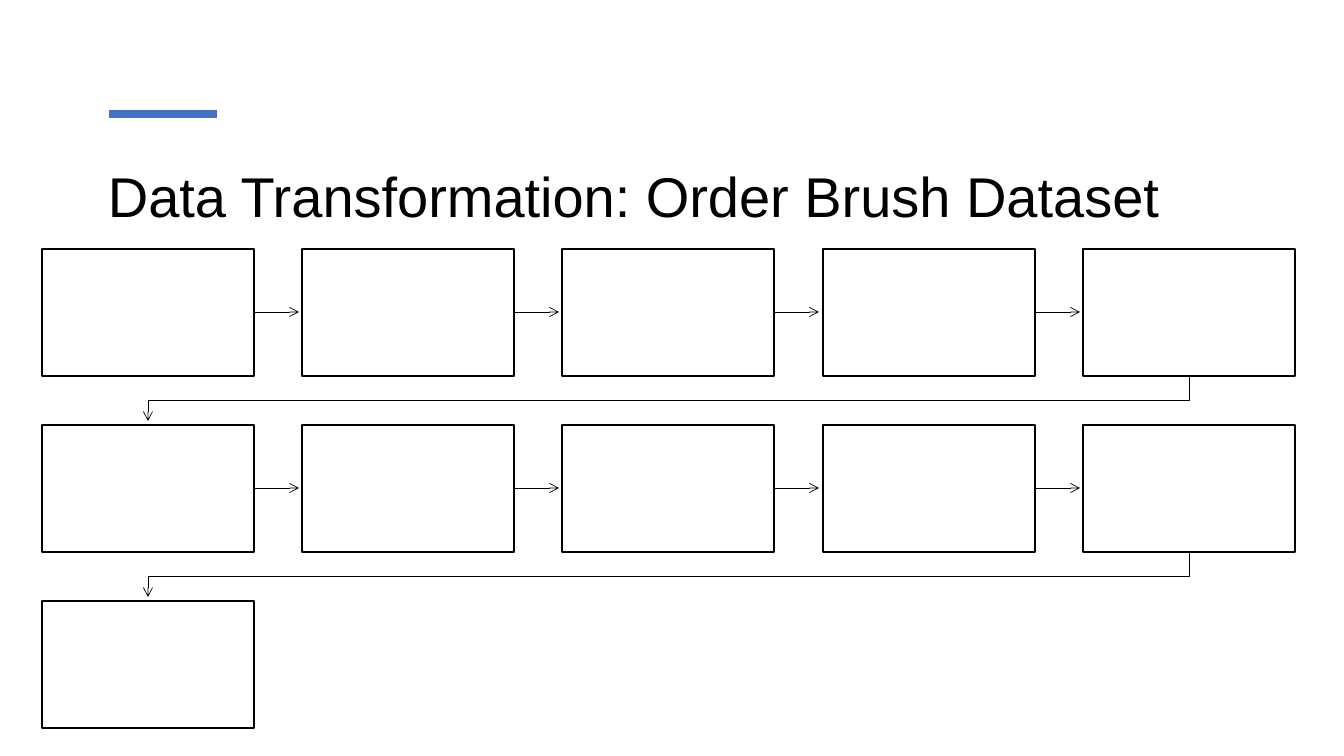
"""Build the Order Brush data transformation slide with its eleven-step flow."""
from lxml import etree
from pptx import Presentation
from pptx import util as u
from pptx.dml.color import RGBColor
from pptx.enum import shapes, text
from pptx.oxml import ns

PX = 12192000 / 1344
BOX_WIDTH, BOX_HEIGHT = 212, 127
FLOW_LEFT, FLOW_TOP = 42, 249
COLUMN_SPAN, ROW_PITCH = 1041, 176
COLUMNS, STEPS = 5, 11
ARROW_LENGTH = 45


def px(*lengths):
    return [u.Emu(round(length * PX)) for length in lengths]


def style_line(shape, color, width, arrow=False):
    shape.line.color.rgb = RGBColor.from_string(color)
    shape.line.width = u.Pt(width)
    properties = shape._element.spPr
    if arrow:
        etree.SubElement(properties.find(ns.qn("a:ln")), ns.qn("a:tailEnd"), type="arrow")
    etree.SubElement(properties, ns.qn("a:effectLst"))


presentation = Presentation()
presentation.slide_width, presentation.slide_height = px(1344, 756)
slide = presentation.slides.add_slide(presentation.slide_layouts[5])

accent = slide.shapes.add_connector(shapes.MSO_CONNECTOR.STRAIGHT, *px(109, 114, 217, 114))
style_line(accent, "4472C4", 6)

title = slide.shapes.title
title.left, title.top, title.width, title.height = px(101, 151, 1142, 145)
frame = title.text_frame
frame.text = "Data Transformation: Order Brush Dataset"
frame.word_wrap = True
frame.auto_size = text.MSO_AUTO_SIZE.NONE
frame.vertical_anchor = text.MSO_ANCHOR.TOP
frame.margin_left, frame.margin_top = px(7, 11)
paragraph = frame.paragraphs[0]
paragraph.alignment = text.PP_ALIGN.LEFT
paragraph.font.name = "Arial"
paragraph.font.size = u.Pt(40)
paragraph.font.color.rgb = RGBColor.from_string("000000")

for step in range(STEPS):
    row, column = divmod(step, COLUMNS)
    left = FLOW_LEFT + round(column * COLUMN_SPAN / (COLUMNS - 1))
    top = FLOW_TOP + row * ROW_PITCH
    right, bottom = left + BOX_WIDTH, top + BOX_HEIGHT
    middle = top + BOX_HEIGHT // 2

    if column < COLUMNS - 1 and step < STEPS - 1:
        arrow = slide.shapes.add_connector(
            shapes.MSO_CONNECTOR.STRAIGHT, *px(right, middle, right + ARROW_LENGTH, middle))
        style_line(arrow, "000000", 0.5, arrow=True)
    elif step < STEPS - 1:
        start, end = left + BOX_WIDTH // 2, FLOW_LEFT + BOX_WIDTH // 2
        builder = slide.shapes.build_freeform(start, bottom, scale=PX)
        builder.add_line_segments(
            [(start, bottom + 24), (end, bottom + 24), (end, bottom + ARROW_LENGTH)], close=False)
        row_link = builder.convert_to_shape()
        row_link.fill.background()
        style_line(row_link, "000000", 0.5, arrow=True)

    box = slide.shapes.add_shape(
        shapes.MSO_SHAPE.RECTANGLE, *px(left, top, BOX_WIDTH, BOX_HEIGHT))
    box.fill.solid()
    box.fill.fore_color.rgb = RGBColor.from_string("FFFFFF")
    style_line(box, "000000", 1)

presentation.save("out.pptx")
